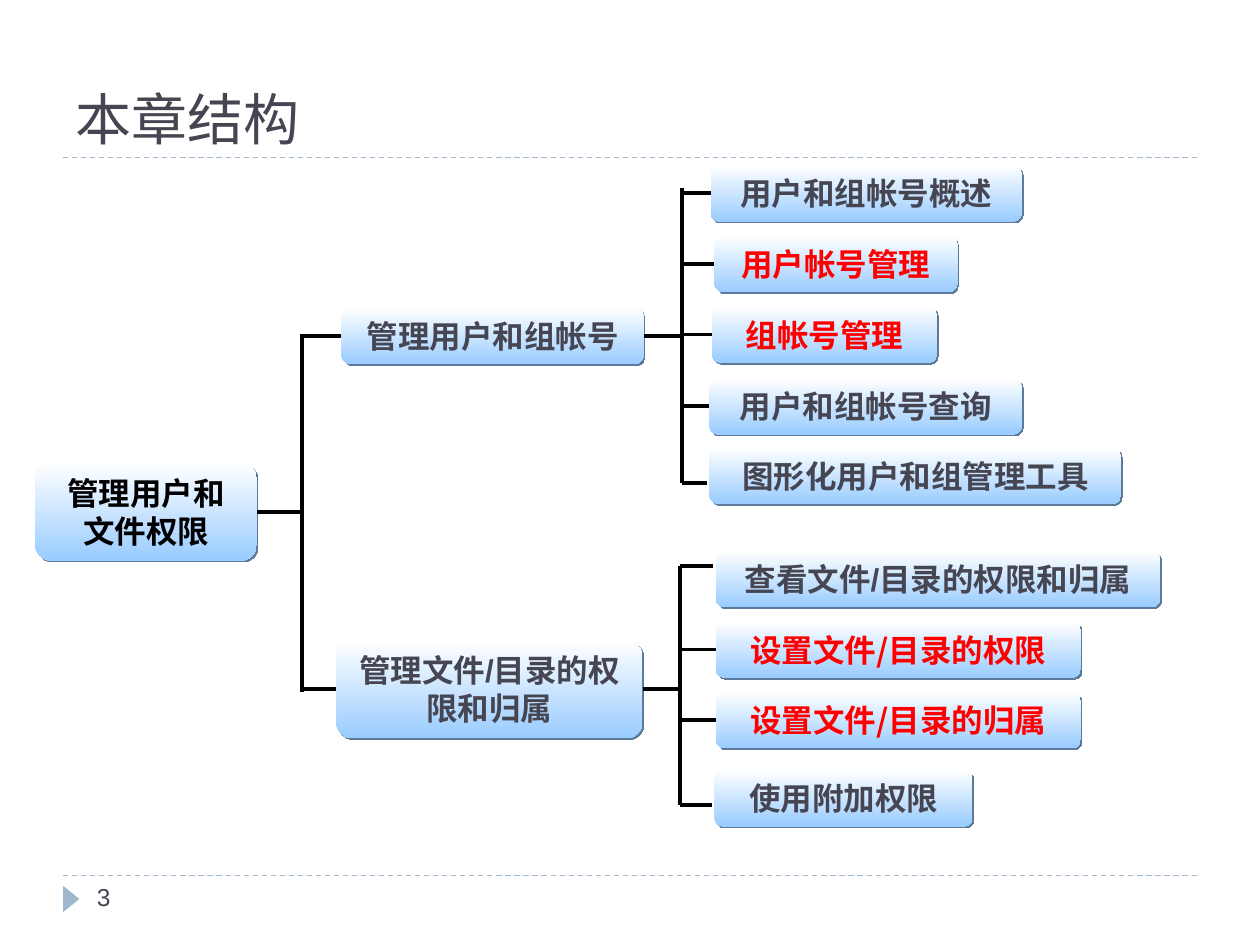
from lxml.etree import SubElement
from pptx import Presentation
from pptx.dml.color import RGBColor
from pptx.enum.dml import MSO_LINE
from pptx.enum.shapes import MSO_CONNECTOR, MSO_SHAPE
from pptx.enum.text import MSO_ANCHOR, MSO_AUTO_SIZE, PP_ALIGN
from pptx.oxml.ns import qn
from pptx.util import Inches, Pt

INK, BLACK, RED, ACCENT = "464653", "000000", "FF0000", "9FB8CD"
CJK = "Noto Sans CJK SC"
LEFT, RIGHT = 1, 3


def color(value):
    return RGBColor.from_string(value)


def write(frame, text, *, size=18, font="Arial", ink=INK, bold=False,
          align=PP_ALIGN.LEFT, anchor=MSO_ANCHOR.TOP):
    frame.word_wrap = True
    frame.vertical_anchor = anchor
    paragraph = frame.paragraphs[0]
    paragraph.alignment = align
    run = paragraph.add_run()
    run.text = text
    run.font.size = Pt(size)
    run.font.name = font
    run.font.bold = bold
    run.font.color.rgb = color(ink)
    SubElement(run.font._element, qn("a:ea"), typeface=CJK)


class ChapterMap:
    gradient = ("FFFFFF", "99CCFF")
    shadow = "5C7A99"

    def __init__(self, slide):
        self.shapes = slide.shapes

    def label(self, text, x, y, width, height, **style):
        box = self.shapes.add_textbox(*map(Inches, (x, y, width, height)))
        write(box.text_frame, text, **style)

    def line(self, start, end, ink=BLACK, weight=2.25, dash=None):
        connector = self.shapes.add_connector(
            MSO_CONNECTOR.STRAIGHT, *map(Inches, (*start, *end)))
        connector.line.color.rgb = color(ink)
        connector.line.width = Pt(weight)
        connector.line.dash_style = dash
        SubElement(connector._element.spPr, qn("a:effectLst"))
        return connector

    def rule(self, y):
        self.line((0.5, y), (9.5, y), ACCENT, 0.75, MSO_LINE.DASH)

    def marker(self, x, y, width, height):
        triangle = self.shapes.add_shape(
            MSO_SHAPE.ISOSCELES_TRIANGLE, *map(Inches, (x, y, width, height)))
        triangle.rotation = 90
        triangle.shadow.inherit = False
        triangle.fill.solid()
        triangle.fill.fore_color.rgb = color(ACCENT)
        triangle.line.fill.background()

    def node(self, text, x, y, width, height=0.45, ink=INK, font="Arial"):
        box = self.shapes.add_shape(
            MSO_SHAPE.ROUNDED_RECTANGLE, *map(Inches, (x, y, width, height)))
        box.adjustments[0] = 0.167
        box.fill.gradient()
        box.fill.gradient_angle = 270
        for stop, tint in zip(box.fill.gradient_stops, self.gradient):
            stop.color.rgb = color(tint)
        box.line.fill.background()
        box.shadow.inherit = False
        effects = box._element.spPr.find(qn("a:effectLst"))
        shadow = SubElement(effects, qn("a:outerShdw"), blurRad="0",
                            dist=str(Pt(1.4)), dir="2700000",
                            algn="ctr", rotWithShape="0")
        SubElement(shadow, qn("a:srgbClr"), val=self.shadow)
        write(box.text_frame, text, ink=ink, font=font, bold=True,
              align=PP_ALIGN.CENTER, anchor=MSO_ANCHOR.MIDDLE)
        box.text_frame.auto_size = MSO_AUTO_SIZE.SHAPE_TO_FIT_TEXT
        return box

    def stem(self, parent, trunk_x):
        y = (parent.top + parent.height / 2) / Inches(1)
        self.line((2, y), (trunk_x, y)).begin_connect(parent, RIGHT)

    def branch(self, trunk_x, y, child):
        middle = (child.top + child.height / 2) / Inches(1)
        joined = abs(middle - y) < 0.03
        y = middle if joined else y
        twig = self.line((trunk_x, y), (child.left / Inches(1) - 0.02, y))
        if joined:
            twig.end_connect(child, LEFT)


def main():
    deck = Presentation()
    deck.slide_width, deck.slide_height = Inches(10), Inches(7.5)
    chart = ChapterMap(deck.slides.add_slide(deck.slide_layouts[6]))

    chart.rule(6.95)
    chart.rule(1.25)
    chart.marker(0.46, 7.07, 0.21, 0.13)
    chart.label("本章结构", 0.5, 0.17, 9, 1.08, size=32,
                font="TeX Gyre Bonum", anchor=MSO_ANCHOR.BOTTOM)
    chart.label("3", 0.67, 6.95, 2.17, 0.4, size=14)

    root = chart.node("管理用户和文件权限", 0.28, 3.67, 1.76, 0.78, BLACK)
    accounts = chart.node("管理用户和组帐号", 2.71, 2.44, 2.4)
    permissions = chart.node("管理文件/目录的权限和归属", 2.67, 5.08, 2.43, 0.78)

    account_topics = [
        ("用户和组帐号概述", 5.64, 1.31, 2.47, INK, "Arial", 1.51),
        ("用户帐号管理", 5.67, 1.87, 1.93, RED, "Arial", 2.09),
        ("组帐号管理", 5.65, 2.43, 1.79, RED, "Arial", 2.67),
        ("用户和组帐号查询", 5.63, 3, 2.48, INK, "Arial", 3.24),
        ("图形化用户和组管理工具", 5.63, 3.55, 3.27, INK, "Arial", 3.83),
    ]
    permission_topics = [
        ("查看文件/目录的权限和归属", 5.68, 4.37, 3.53, INK, "Arial", 4.49),
        ("设置文件/目录的权限", 5.68, 4.93, 2.9, RED, CJK, 5.16),
        ("设置文件/目录的归属", 5.68, 5.49, 2.9, RED, CJK, 5.73),
        ("使用附加权限", 5.67, 6.11, 2.05, INK, CJK, 6.39),
    ]

    chart.stem(root, 2.4)
    chart.line((2.4, 2.65), (2.4, 5.49))
    chart.branch(2.4, 2.65, accounts)
    chart.branch(2.4, 5.49, permissions)

    for parent, topics, trunk_x, top, bottom in (
            (accounts, account_topics, 5.41, 1.49, 3.83),
            (permissions, permission_topics, 5.4, 4.49, 6.39)):
        chart.stem(parent, trunk_x)
        chart.line((trunk_x, top), (trunk_x, bottom))
        for text, x, y, width, ink, font, branch_y in topics:
            topic = chart.node(text, x, y, width, ink=ink, font=font)
            chart.branch(trunk_x, branch_y, topic)

    deck.save("out.pptx")


if __name__ == "__main__":
    main()
